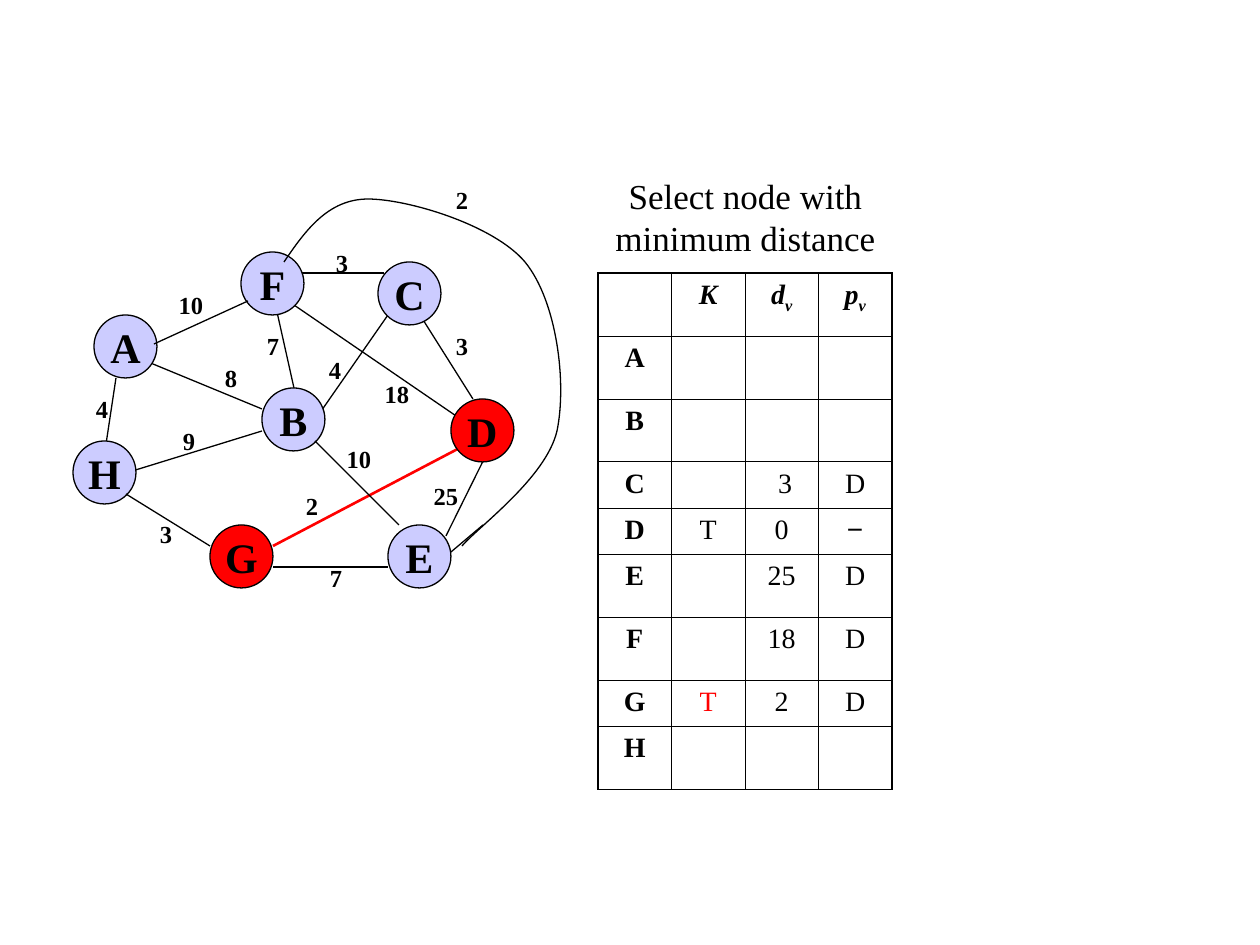
from lxml import etree
from pptx import Presentation
from pptx.dml.color import RGBColor
from pptx.enum.shapes import MSO_CONNECTOR, MSO_SHAPE
from pptx.enum.text import MSO_ANCHOR, PP_ALIGN
from pptx.oxml.ns import qn
from pptx.util import Pt

PX = 914400 // 126
STRAIGHT = MSO_CONNECTOR.STRAIGHT
OVAL = MSO_SHAPE.OVAL
MIDDLE = MSO_ANCHOR.MIDDLE
CENTER = PP_ALIGN.CENTER
BLACK, RED, LILAC = "000000", "FF0000", "CCCCFF"
color = RGBColor.from_string

presentation = Presentation()
presentation.slide_width = 1260 * PX
presentation.slide_height = 945 * PX
slide = presentation.slides.add_slide(presentation.slide_layouts[6])


def write(paragraph, text, size, space_before, line_color=BLACK, **format_values):
    paragraph.alignment = CENTER
    paragraph.space_before = Pt(space_before)
    run = paragraph.add_run()
    run.text = text
    run.font.color.rgb = color(line_color)
    values = {"name": "Times New Roman", "size": Pt(size), **format_values}
    for name, value in values.items():
        setattr(run.font, name, value)
    return run


def add_edge(points, line_color=BLACK, width=0.75):
    edge = slide.shapes.add_connector(STRAIGHT, *(value * PX for value in points))
    edge.line.color.rgb = color(line_color)
    edge.line.width = Pt(width)
    etree.SubElement(edge._element.spPr, qn("a:effectLst"))


edges_below_nodes = [
    (498, 431, 446, 536), (273, 294, 294, 388), (315, 420, 388, 315),
    (462, 420, 294, 305), (126, 473, 262, 431), (105, 451, 116, 378),
    (136, 357, 262, 409), (300, 273, 384, 273), (420, 315, 473, 399),
]
for points in edges_below_nodes:
    add_edge(points)
add_edge((273, 546, 473, 441), RED, 1.5)

nodes = [
    ("A", 94, 315, LILAC), ("H", 73, 441, LILAC), ("B", 262, 388, LILAC),
    ("F", 241, 252, LILAC), ("E", 388, 525, LILAC), ("D", 451, 399, RED),
    ("C", 378, 262, LILAC), ("G", 210, 525, RED),
]
for letter, left, top, fill_color in nodes:
    node = slide.shapes.add_shape(OVAL, left * PX, top * PX, 63 * PX, 63 * PX)
    node.shadow.inherit = False
    node.fill.solid()
    node.fill.fore_color.rgb = color(fill_color)
    node.line.color.rgb = color(BLACK)
    node.line.width = Pt(0.75)
    node.text_frame.word_wrap = False
    node.text_frame.vertical_anchor = MIDDLE
    write(node.text_frame.paragraphs[0], letter, 24, 6, bold=True)

edges_above_nodes = [
    (315, 441, 399, 525), (388, 567, 273, 567), (210, 546, 126, 494),
    (154, 344, 248, 301), (483, 525, 451, 552),
]
for points in edges_above_nodes:
    add_edge(points)

curve_points = [
    (305, 231), (328, 199), (368, 199), (408, 199), (494, 225), (525, 262),
    (557, 301), (567, 383), (557, 431), (546, 478), (478, 527), (462, 546),
]
builder = slide.shapes.build_freeform(284, 262, scale=PX)
builder.add_line_segments(curve_points, close=False)
curve = builder.convert_to_shape()
curve.shadow.inherit = False
curve.fill.background()
curve.line.color.rgb = color(BLACK)
curve.line.width = Pt(0.75)
outline = next(curve._element.iter(qn("a:path")))
segments = outline.findall(qn("a:lnTo"))
for start in range(0, len(segments), 3):
    bezier = etree.SubElement(outline, qn("a:cubicBezTo"))
    for segment in segments[start:start + 3]:
        bezier.append(segment[0])
        outline.remove(segment)

weights = [
    ("4", 81, 388), ("25", 413, 475), ("7", 315, 557), ("2", 291, 485),
    ("10", 326, 438), ("18", 364, 373), ("3", 441, 325), ("4", 314, 349),
    ("3", 321, 242), ("7", 252, 325), ("8", 210, 357), ("9", 168, 420),
    ("3", 145, 513), ("10", 158, 284), ("2", 441, 179),
]
for weight, left, top in weights:
    width = 42 if len(weight) == 1 else 66
    label = slide.shapes.add_textbox(left * PX, top * PX, width * PX, 43 * PX)
    label.text_frame.word_wrap = True
    write(label.text_frame.paragraphs[0], weight, 14, 8.8, bold=True)

title = slide.shapes.add_textbox(546 * PX, 168 * PX, 399 * PX, 97 * PX)
title.text_frame.word_wrap = True
write(title.text_frame.paragraphs[0], "Select node with minimum distance", 20, 12.5)

rows = [
    ("", "K", "dv", "pv"),
    ("A", "", "", ""),
    ("B", "", "", ""),
    ("C", "", " 3", "D"),
    ("D", "T", "0", "−"),
    ("E", "", "25", "D"),
    ("F", "", "18", "D"),
    ("G", "T", "2", "D"),
    ("H", "", "", ""),
]
short_rows = "CDG"
heights = [46 if row[0] and row[0] in short_rows else 63 for row in rows]
last_row, last_column = len(rows) - 1, 3
table = slide.shapes.add_table(
    len(rows), 4, 598 * PX, 273 * PX, 294 * PX, sum(heights) * PX
).table
table.first_row = False
table.horz_banding = False
for column in table.columns:
    column.width = 294 * PX // 4

for row_index, row in enumerate(rows):
    table.rows[row_index].height = heights[row_index] * PX
    for column_index, text in enumerate(row):
        cell = table.cell(row_index, column_index)
        outer_sides = {
            "a:lnL": column_index == 0,
            "a:lnR": column_index == last_column,
            "a:lnT": row_index == 0,
            "a:lnB": row_index == last_row,
        }
        properties = cell._tc.get_or_add_tcPr()
        for side, is_outer in outer_sides.items():
            border = etree.SubElement(properties, qn(side), w=str(Pt(1.08 if is_outer else 0.45)))
            border_fill = etree.SubElement(border, qn("a:solidFill"))
            etree.SubElement(border_fill, qn("a:srgbClr"), val=BLACK)
        cell.fill.background()
        paragraph = cell.text_frame.paragraphs[0]
        if not text:
            etree.SubElement(paragraph._p, qn("a:endParaRPr"), sz="1600")
        elif row_index == 0:
            for position, letter in enumerate(text):
                run = write(paragraph, letter, 16, 4, bold=True, italic=True)
                if position:
                    run._r.get_or_add_rPr().set("baseline", "-25000")
        else:
            write(
                paragraph, text, 16, 4,
                RED if (row[0], text) == ("G", "T") else BLACK,
                bold=column_index == 0,
                name="Arial" if text == "−" else "Times New Roman",
            )

presentation.save("out.pptx")
